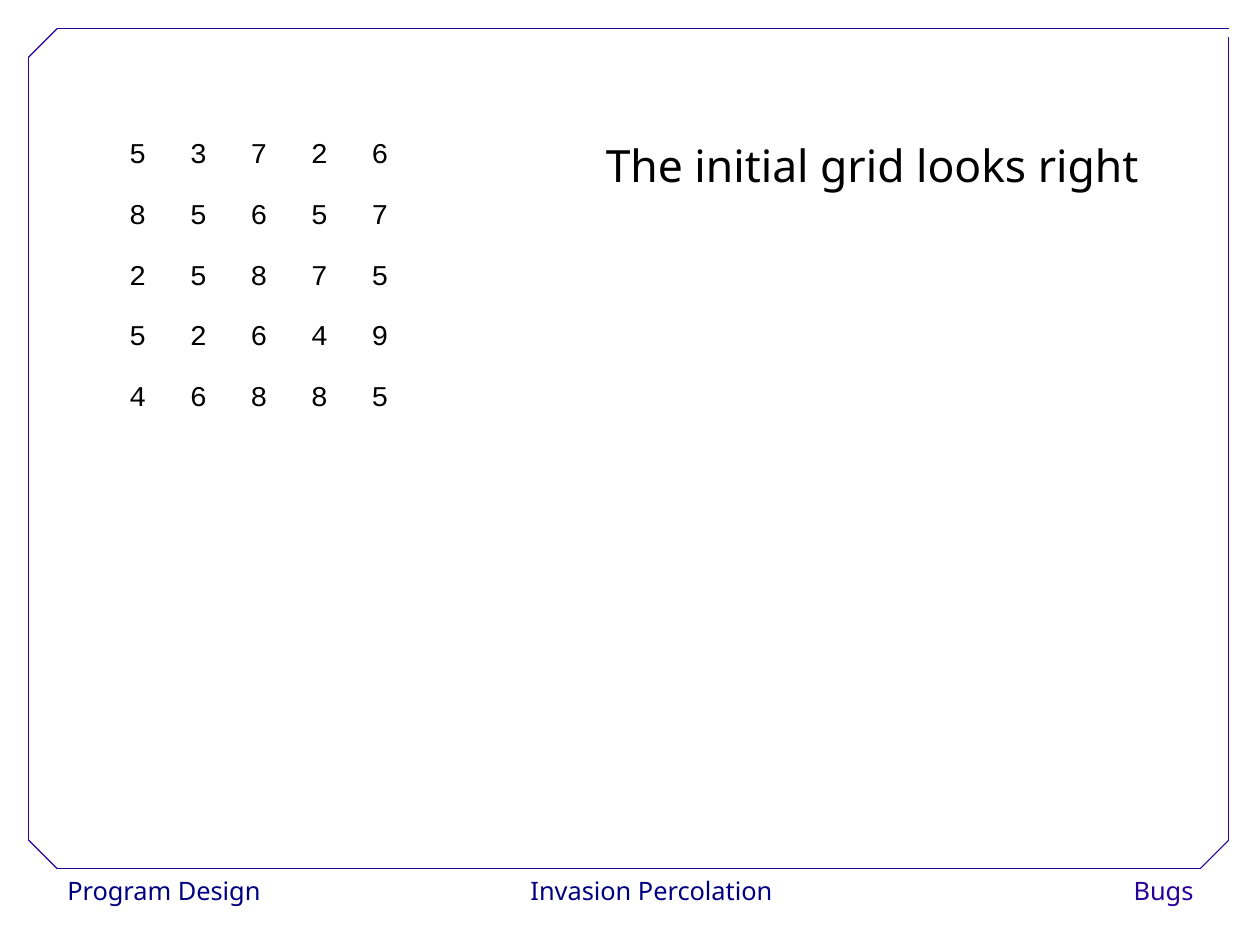
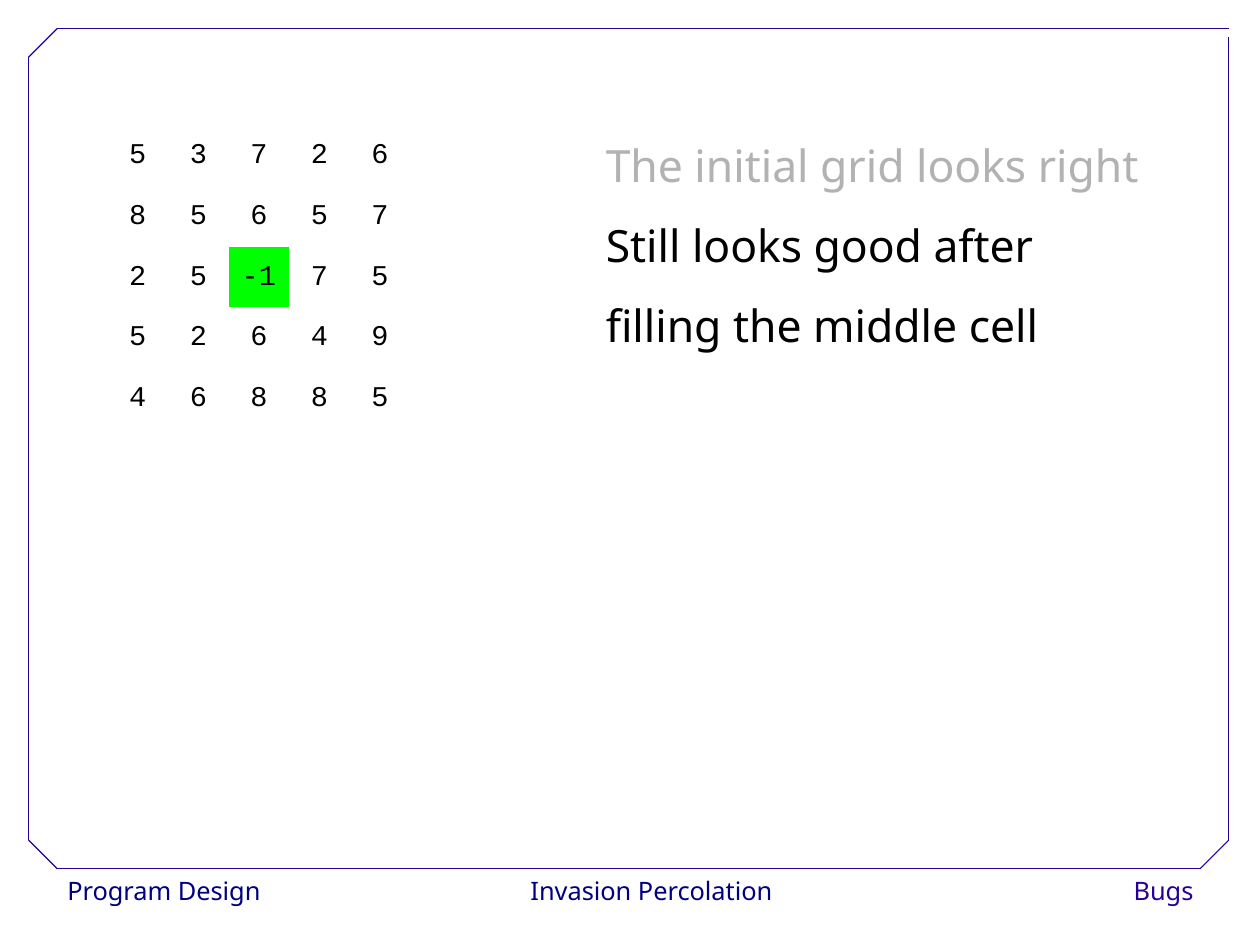
import pptx
import pptx.dml.color
import pptx.enum.shapes
import pptx.enum.text
import pptx.oxml.ns
import pptx.util
from lxml import etree

Inches, Pt, Cm = pptx.util.Inches, pptx.util.Pt, pptx.util.Cm
RGBColor = pptx.dml.color.RGBColor
ALIGN = pptx.enum.text.PP_ALIGN
ANCHOR = pptx.enum.text.MSO_ANCHOR
qn = pptx.oxml.ns.qn

# Colours and fonts
BLACK = RGBColor(0x00, 0x00, 0x00)
WHITE = RGBColor(0xFF, 0xFF, 0xFF)
GREY = RGBColor(0xB2, 0xB2, 0xB2)
NAVY = RGBColor(0x00, 0x00, 0x80)
VIOLET = RGBColor(0x28, 0x00, 0x99)
GREEN = RGBColor(0x00, 0xFF, 0x00)
TEXT_FONT, GRID_FONT = "Noto Sans", "Courier New"
NO_STYLE_NO_GRID = "{2D5ABB26-0587-4C30-8999-92F81FD0307C}"

# Content
FOOTERS = [  # text, left, width, alignment, colour
    ("Program Design", 0.49, 1.92, ALIGN.LEFT, NAVY),
    ("Invasion Percolation", 4.52, 2.36, ALIGN.CENTER, NAVY),
    ("Bugs", 9.14, 1.4, ALIGN.RIGHT, VIOLET),
]
START_GRID = ["53726", "85657", "25875", "52649", "46885"]
MIDDLE = (2, 2)
SLIDES = [  # cells changed from the start grid, statements, height of the statements
    ({}, [("The initial grid looks right", BLACK)], 0.8),
    ({MIDDLE: "-1"},
     [("The initial grid looks right", GREY),
      ("Still looks good after filling the middle cell", BLACK)], 2.2),
]

# Geometry: slide in centimetres, the rest in inches
WIDTH, HEIGHT = 28, 21
LEFT, TOP, RIGHT, BOTTOM, CUT = 0.25, 0.25, 10.75, 7.6, 0.25
GRID_LEFT, GRID_TOP, CELL = 0.94, 1.1, 0.53
FRAME = [
    ((LEFT + CUT, BOTTOM), (RIGHT - CUT, BOTTOM)),
    ((LEFT, BOTTOM - CUT), (LEFT, TOP + CUT)),
    ((LEFT + CUT, TOP), (RIGHT, TOP)),
    ((RIGHT, BOTTOM - CUT), (RIGHT, TOP + 0.07)),
    ((LEFT, TOP + CUT), (LEFT + CUT, TOP)),
    ((RIGHT - CUT, BOTTOM), (RIGHT, BOTTOM - CUT)),
    ((LEFT, BOTTOM - CUT), (LEFT + CUT, BOTTOM)),
]


def format_paragraph(para, name, size, color, align, spacing):
    para.alignment = align
    para.line_spacing = spacing
    for span in para.runs:
        span.font.name = name
        span.font.size = Pt(size)
        span.font.color.rgb = color


def add_footer(page, text, left, width, align, color):
    box = page.shapes.add_shape(
        pptx.enum.shapes.MSO_SHAPE.RECTANGLE,
        Inches(left), Inches(BOTTOM), Inches(width), Inches(0.4))
    box.shadow.inherit = False
    box.fill.solid()
    box.fill.fore_color.rgb = WHITE
    box.line.fill.background()
    box.text_frame.word_wrap = False
    box.text_frame.vertical_anchor = ANCHOR.TOP
    box.text_frame.text = text
    format_paragraph(box.text_frame.paragraphs[0], TEXT_FONT, 16, color, align, 1.02)
    return box


def add_line(page, start, end):
    line = page.shapes.add_connector(
        pptx.enum.shapes.MSO_CONNECTOR.STRAIGHT, *map(Inches, start + end))
    line.line.color.rgb = VIOLET
    line.line.width = Pt(0.75)
    etree.SubElement(line._element.spPr, qn("a:effectLst"))
    return line


def furnish_layout(layout, page):
    """Draw footers and frame on a page, then move them to its layout."""
    parts = [add_footer(page, *footer) for footer in FOOTERS]
    parts += [add_line(page, *ends) for ends in FRAME]
    for number, part in enumerate(parts, start=100):
        part._element.xpath(".//p:cNvPr")[0].set("id", str(number))
        layout.shapes._spTree.append(part._element)


def add_grid(page, changes):
    size = len(START_GRID)
    table = page.shapes.add_table(
        size, size, Inches(GRID_LEFT), Inches(GRID_TOP),
        Inches(CELL * size), Inches(CELL * size)).table
    table.first_row = table.horz_banding = False
    table._tbl.tblPr.find(qn("a:tableStyleId")).text = NO_STYLE_NO_GRID
    for row, digits in enumerate(START_GRID):
        for column, digit in enumerate(digits):
            cell = table.cell(row, column)
            cell.text = changes.get((row, column), digit)
            cell.vertical_anchor = ANCHOR.MIDDLE
            if (row, column) in changes:
                cell.fill.solid()
                cell.fill.fore_color.rgb = GREEN
            else:
                cell.fill.background()
            format_paragraph(cell.text_frame.paragraphs[0], GRID_FONT, 18,
                             BLACK, ALIGN.CENTER, 1.02)


def fill_statements(body, statements, height):
    body.left, body.top = Inches(5.2), Inches(0.92)
    body.width, body.height = Inches(4.86), Inches(height)
    frame = body.text_frame
    frame.text = "\n".join(text for text, _ in statements)
    frame.word_wrap = True
    frame.auto_size = pptx.enum.text.MSO_AUTO_SIZE.NONE
    for para, (_, color) in zip(frame.paragraphs, statements):
        properties = para._p.get_or_add_pPr()
        properties.set("marL", "0")
        properties.set("indent", "0")
        etree.SubElement(properties, qn("a:buNone"))
        para.space_before = Pt(0)
        format_paragraph(para, TEXT_FONT, 28, color, ALIGN.LEFT, 1.5)


def main():
    deck = pptx.Presentation()
    deck.slide_width, deck.slide_height = Cm(WIDTH), Cm(HEIGHT)
    deck.element.sldSz.attrib.pop("type", None)  # the size is not a preset
    layout = deck.slide_layouts.get_by_name("Title and Content")
    for index, (changes, statements, height) in enumerate(SLIDES):
        page = deck.slides.add_slide(layout)
        if index == 0:
            furnish_layout(layout, page)
        title = page.shapes.title._element
        title.getparent().remove(title)
        add_grid(page, changes)
        fill_statements(page.placeholders[1], statements, height)
    deck.save("out.pptx")


if __name__ == "__main__":
    main()
